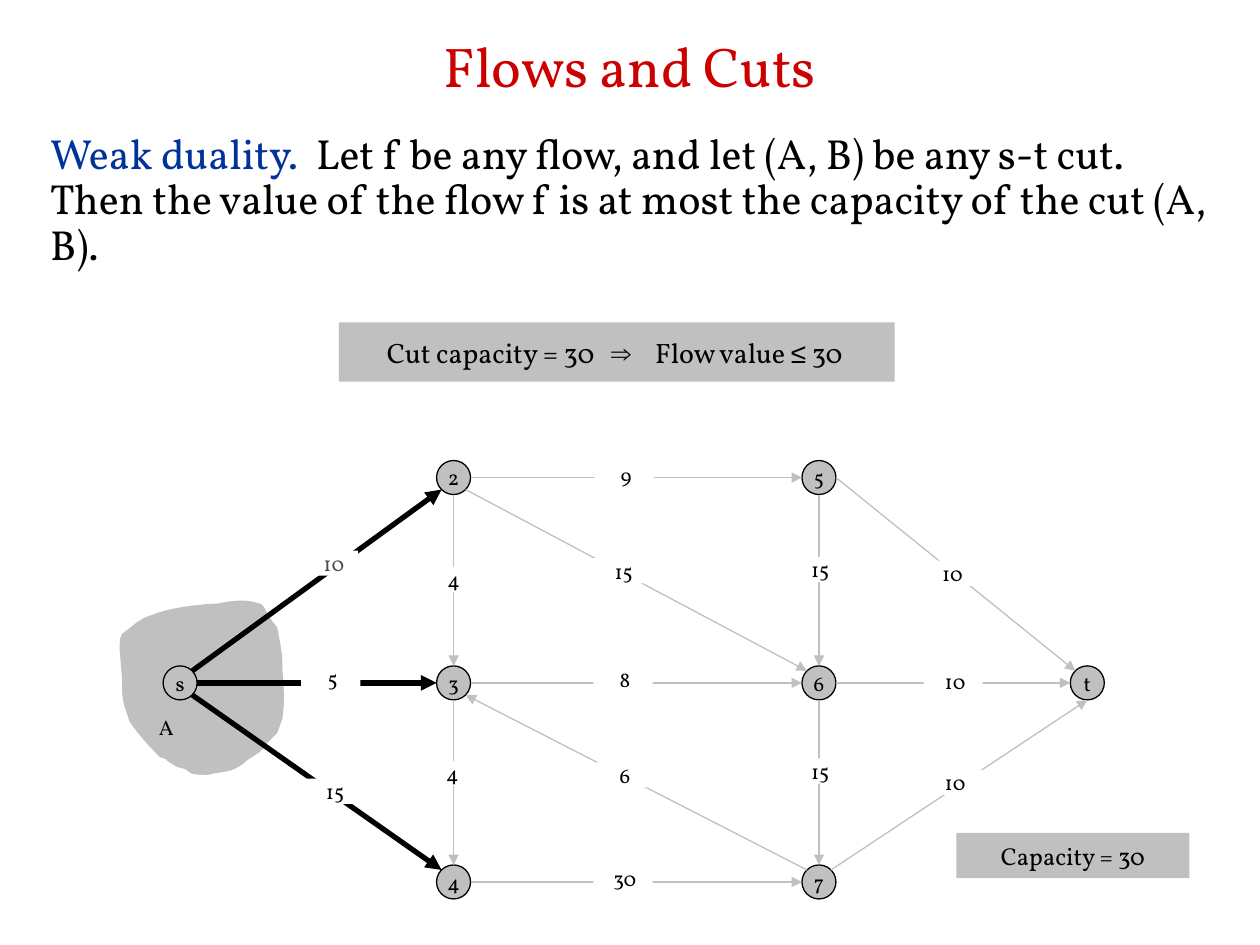
import math
from lxml import etree
from pptx import Presentation
from pptx import util as u
from pptx.dml.color import RGBColor
from pptx.enum import shapes, text
from pptx.oxml.ns import qn

BLACK, GRAY, WHITE = "000000", "C0C0C0", "FFFFFF"
RED, BLUE, DARK = "CC0000", "003399", "4D4D4D"


def rgb(value):
    return RGBColor.from_string(value)


def write(sp, runs, size=12, color=BLACK, align=text.PP_ALIGN.CENTER,
          anchor=text.MSO_ANCHOR.TOP, insets=(0, 0, 0, 0), wrap=True,
          grow=False, spacing=None, tabs=()):
    tf = sp.text_frame
    tf.word_wrap = wrap
    tf.vertical_anchor = anchor
    tf.auto_size = (text.MSO_AUTO_SIZE.SHAPE_TO_FIT_TEXT if grow
                    else text.MSO_AUTO_SIZE.NONE)
    (tf.margin_left, tf.margin_top,
     tf.margin_right, tf.margin_bottom) = map(u.Inches, insets)
    p = tf.paragraphs[0]
    p.alignment = align
    if spacing:
        p.line_spacing = spacing
    if tabs:
        tab_list = etree.SubElement(p._p.get_or_add_pPr(), qn("a:tabLst"))
        for pos in tabs:
            etree.SubElement(tab_list, qn("a:tab"), pos=str(u.Inches(pos)), algn="l")
    for words, font, run_color in runs:
        r = p.add_run()
        r.text = words
        r.font.name = font or "Vollkorn"
        r.font.size = u.Pt(size)
        r.font.color.rgb = rgb(run_color or color)


class Deck:
    radius = 0.135

    def __init__(self, s):
        self.s = s

    def paint(self, sp, fill, line=None):
        sp.shadow.inherit = False
        sp.fill.solid()
        sp.fill.fore_color.rgb = rgb(fill)
        if line:
            sp.line.color.rgb = rgb(line)
            sp.line.width = u.Pt(0.75)
        else:
            sp.line.fill.background()

    def textbox(self, box, runs, **fmt):
        write(self.s.shapes.add_textbox(*map(u.Inches, box)), runs, **fmt)

    def rect(self, box, runs, fill=GRAY, **fmt):
        sp = self.s.shapes.add_shape(shapes.MSO_SHAPE.RECTANGLE, *map(u.Inches, box))
        self.paint(sp, fill)
        write(sp, runs, **fmt)

    def label(self, x, y, value, indent=0.03, color=BLACK):
        self.rect((x, y, 0.47, 0.2), [(value, None, color)], fill=WHITE,
                  insets=(indent, 0, 0, 0), grow=True)

    def node(self, name, x, y):
        d = 2 * self.radius
        sp = self.s.shapes.add_shape(
            shapes.MSO_SHAPE.OVAL, *map(u.Inches, (x - d / 2, y - d / 2, d, d)))
        self.paint(sp, GRAY, BLACK)
        write(sp, [(name, None, None)], anchor=text.MSO_ANCHOR.MIDDLE,
              insets=(0.1, 0.05, 0.1, 0.05), wrap=False)
        return sp

    def site(self, center, index):
        angle = math.radians(90 + 45 * index)
        return (u.Inches(center[0] + self.radius * math.cos(angle)),
                u.Inches(center[1] - self.radius * math.sin(angle)))

    def edge(self, start, start_site, end, end_site, centers, nodes, color, width):
        cx = self.s.shapes.add_connector(
            shapes.MSO_CONNECTOR.STRAIGHT,
            *self.site(centers[start], start_site), *self.site(centers[end], end_site))
        joints = cx._element.nvCxnSpPr.cNvCxnSpPr
        for tag, name, index in (("a:stCxn", start, start_site), ("a:endCxn", end, end_site)):
            etree.SubElement(joints, qn(tag), id=str(nodes[name].shape_id), idx=str(index))
        cx.line.color.rgb = rgb(color)
        cx.line.width = u.Pt(width)
        etree.SubElement(cx.line._get_or_add_ln(), qn("a:tailEnd"), type="triangle")
        etree.SubElement(cx._element.spPr, qn("a:effectLst"))

    def region(self, start, curves, steps=6):
        points, p0 = [], start
        for x1, y1, x2, y2, x3, y3 in curves:
            for i in range(1, steps + 1):
                t = i / steps
                weights = ((1 - t) ** 3, 3 * t * (1 - t) ** 2, 3 * t * t * (1 - t), t ** 3)
                points.append(tuple(
                    u.Inches(sum(w * c for w, c in zip(weights, axis)))
                    for axis in ((p0[0], x1, x2, x3), (p0[1], y1, y2, y3))))
            p0 = (x3, y3)
        fb = self.s.shapes.build_freeform(*map(u.Inches, start))
        fb.add_line_segments(points, close=True)
        self.paint(fb.convert_to_shape(), GRAY)


CUT_CURVES = [
    (1.03, 4.99, 1.11, 4.91, 1.18, 4.89), (1.35, 4.82, 1.55, 4.8, 1.73, 4.79),
    (1.84, 4.77, 1.94, 4.75, 2.06, 4.79), (2.1, 4.8, 2.11, 4.86, 2.14, 4.9),
    (2.16, 4.93, 2.2, 4.98, 2.2, 4.98), (2.23, 5.14, 2.22, 5.06, 2.24, 5.22),
    (2.23, 5.39, 2.33, 5.77, 2.12, 5.9), (2.08, 5.96, 2.06, 5.97, 2, 6.01),
    (1.9, 6.07, 1.99, 6.03, 1.87, 6.1), (1.81, 6.13, 1.72, 6.13, 1.65, 6.15),
    (1.61, 6.15, 1.56, 6.15, 1.52, 6.14), (1.5, 6.13, 1.49, 6.12, 1.48, 6.11),
    (1.44, 6.09, 1.43, 6.1, 1.39, 6.08), (1.26, 6, 1.36, 6.04, 1.27, 6.01),
    (1.18, 5.92, 1.1, 5.83, 1.03, 5.73), (1.02, 5.7, 1.01, 5.67, 1, 5.64),
    (0.98, 5.6, 0.97, 5.5, 0.97, 5.5), (0.97, 5.43, 0.97, 5.36, 0.96, 5.29),
    (0.96, 5.21, 0.93, 5.09, 0.97, 5.03)]

TOP, MIDDLE, BOTTOM = 3.79, 5.42, 7
CENTERS = {"s": (1.43, MIDDLE), "t": (8.63, MIDDLE),
           "2": (3.6, TOP), "3": (3.6, MIDDLE), "4": (3.6, BOTTOM),
           "5": (6.5, TOP), "6": (6.5, MIDDLE), "7": (6.5, BOTTOM)}
CUT_EDGES = [("s", 7, "2", 3), ("s", 6, "3", 2), ("s", 5, "4", 1)]
OTHER_EDGES = [
    ("2", 6, "5", 2), ("3", 6, "6", 2), ("4", 6, "7", 2),
    ("2", 4, "3", 0), ("3", 4, "4", 0), ("5", 4, "6", 0), ("6", 4, "7", 0),
    ("2", 5, "6", 1), ("7", 1, "3", 5),
    ("5", 6, "t", 1), ("6", 6, "t", 2), ("7", 7, "t", 4)]
LABELS = [
    (2.41, 6.18, "15"), (2.39, 5.28, "5"), (4.71, 6.87, "30"), (6.26, 6.02, "15"),
    (2.37, 4.37, "10", 0.09, DARK), (4.71, 5.29, "8"), (4.7, 4.43, "15"),
    (4.72, 3.67, "9"), (4.71, 6.05, "6"), (7.33, 6.11, "10"), (7.33, 5.31, "10"),
    (7.28, 4.45, "10", 0.09), (6.26, 4.42, "15"), (3.35, 4.5, "4"), (3.34, 6.04, "4")]


def main():
    prs = Presentation()
    prs.slide_width, prs.slide_height = u.Inches(10), u.Inches(7.5)
    deck = Deck(prs.slides.add_slide(prs.slide_layouts[6]))
    left, middle = text.PP_ALIGN.LEFT, text.MSO_ANCHOR.MIDDLE
    padding = (0.1, 0.05, 0.1, 0.05)

    deck.textbox((0, 0.17, 10, 0.82), [("Flows and Cuts", None, RED)], size=32,
                 anchor=middle, insets=padding, spacing=0.7)
    deck.textbox((0.3, 1, 9.38, 1.2), [
        ("Weak duality.", None, BLUE),
        ("\tLet f be any flow, and let (A, B) be any s-t cut. Then the value of "
         "the flow f is at most the capacity of the cut (A, B).", None, None)],
        size=24, align=left, insets=padding, spacing=u.Pt(26), tabs=(2.11,))
    deck.rect((2.69, 2.56, 4.41, 0.47), [
        ("Cut capacity = 30\t", None, None), ("⇒", "Arial", None),
        ("\tFlow value ", None, None), ("≤", "Arial", None), (" 30", None, None)],
        size=16, align=left, insets=(0.38, 0.1, 0.15, 0.1), tabs=(1.78, 2.13))

    deck.region((0.97, 5.03), CUT_CURVES)
    nodes = {name: deck.node(name, *center) for name, center in CENTERS.items()}
    for edges, color, width in ((CUT_EDGES, BLACK, 3), (OTHER_EDGES, GRAY, 0.75)):
        for edge in edges:
            deck.edge(*edge, CENTERS, nodes, color, width)
    for label in LABELS:
        deck.label(*label)

    deck.rect((7.59, 6.61, 1.85, 0.36), [("Capacity = 30", None, None)], size=14,
              anchor=middle, insets=(0.1, 0.1, 0.1, 0.1))
    deck.textbox((1.26, 5.67, 0.12, 0.2), [("A", None, None)], wrap=False, grow=True)
    prs.save("out.pptx")


if __name__ == "__main__":
    main()
